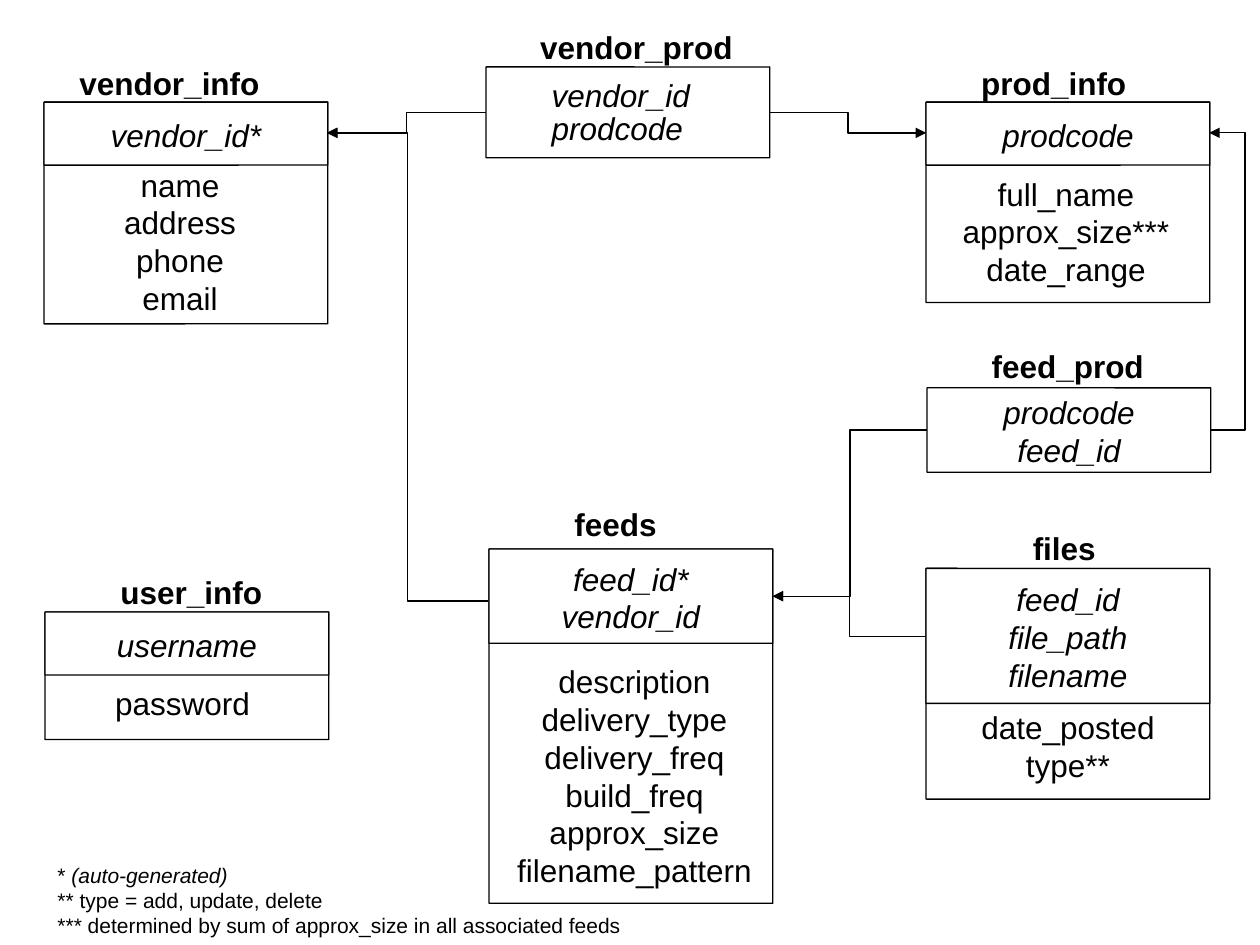
from lxml import etree
from pptx import Presentation, util as u
from pptx.dml.color import RGBColor
from pptx.enum import shapes, text
from pptx.oxml.ns import qn

THEME = {
    "font": "Arial", "ink": RGBColor(0, 0, 0), "paper": RGBColor(255, 255, 255),
    "body": 18, "note": 12, "line": 0.75, "corner": 0.001,
}
ENTITY_WIDTH, TITLE_WIDTH, NOTE_WIDTH = 5.72, 4.6, 12.2
CENTER, LEFT = text.PP_ALIGN.CENTER, text.PP_ALIGN.LEFT

# Entities in cm. title_at: left, top; box: left, top, height; fields_at: center, top.
ENTITIES = [
    {"title": "vendor_info", "title_at": (1.35, 1.12), "box": (0.89, 2.06, 4.47),
     "key_height": 1.27, "keys": ["vendor_id*"],
     "fields": ["name", "address", "phone", "email"], "fields_at": (3.63, 3.16)},
    {"title": "prod_info", "title_at": (19.53, 1.12), "box": (18.67, 2.06, 4.04),
     "key_height": 1.27, "keys": ["prodcode"],
     "fields": ["full_name", "approx_size***", "date_range"], "fields_at": (21.49, 3.34)},
    {"title": "vendor_prod", "title_at": (10.64, 0.38), "box": (9.8, 1.35, 1.83)},
    {"title": "user_info", "title_at": (2.18, 11.38), "box": (0.91, 12.34, 2.57),
     "key_height": 1.27, "keys": ["username"],
     "fields": ["password"], "fields_at": (3.68, 13.61)},
    {"title": "files", "title_at": (20.57, 10.49), "box": (18.67, 11.46, 4.65),
     "key_height": 2.72, "keys": ["feed_id", "file_path", "filename"],
     "fields": ["date_posted", "type**"], "fields_at": (21.53, 14.1)},
    {"title": "feeds", "title_at": (11.33, 10.01), "box": (9.86, 11.07, 7.14),
     "key_height": 1.9, "keys": ["feed_id*", "vendor_id"],
     "fields": ["description", "delivery_type", "delivery_freq", "build_freq",
                "approx_size", "filename_pattern"], "fields_at": (12.79, 13.17)},
    {"title": "feed_prod", "title_at": (19.74, 6.81), "box": (18.69, 7.82, 1.7),
     "keys": ["prodcode", "feed_id"]},
]

# The two keys of vendor_prod are set closer than normal lines
LINK_KEYS = [("vendor_id", (10.87, 1.35)), ("prodcode", (10.87, 2.02))]

FOOTNOTES = [
    [("* ", ""), ("(auto-generated)", "i")],
    [("** type = add, update, delete", "")],
    [("*** determined by sum of approx_size in all associated feeds", "")],
]
FOOTNOTES_AT = (0.91, 17.2)

# Relations: start, end, x of the bend (None for halfway)
RELATIONS = [
    ((9.8, 2.27), (6.6, 2.68), None),       # vendor_prod to vendor_info
    ((15.52, 2.27), (18.67, 2.68), None),   # vendor_prod to prod_info
    ((9.84, 12.12), (6.59, 2.68), None),    # feeds to vendor_info
    ((18.69, 8.67), (15.58, 12.02), None),  # feed_prod to feeds
    ((24.41, 8.67), (24.38, 2.68), 25.1),   # feed_prod to prod_info
    ((18.67, 12.83), (15.58, 12.02), None), # files to feeds
]


def lines_of(words, style=""):
    return [[(word, style)] for word in words]


def write(frame, lines, size, align):
    frame.margin_left = frame.margin_right = u.Cm(0.25)
    frame.margin_top, frame.margin_bottom = u.Cm(0.18), u.Cm(0.13)
    for number, line in enumerate(lines):
        paragraph = frame.paragraphs[0] if number == 0 else frame.add_paragraph()
        paragraph.alignment = align
        for words, style in line:
            run = paragraph.add_run()
            run.text = words
            run.font.name, run.font.size = THEME["font"], u.Pt(size)
            run.font.bold, run.font.italic = style == "b", style == "i"
            run.font.color.rgb = THEME["ink"]


def add_label(slide, at, width, lines, align=LEFT, size=THEME["body"]):
    left, top = at
    height = 0.31 + len(lines) * size * 0.042
    label = slide.shapes.add_textbox(*map(u.Cm, (left, top, width, height)))
    label.text_frame.word_wrap = True
    write(label.text_frame, lines, size, align)


def add_frame(slide, left, top, height, keys=()):
    frame = slide.shapes.add_shape(shapes.MSO_SHAPE.ROUNDED_RECTANGLE,
                                   *map(u.Cm, (left, top, ENTITY_WIDTH, height)))
    frame.adjustments[0] = THEME["corner"]
    frame.shadow.inherit = False
    frame.fill.solid()
    frame.fill.fore_color.rgb = THEME["paper"]
    frame.line.color.rgb, frame.line.width = THEME["ink"], u.Pt(THEME["line"])
    if keys:
        frame.text_frame.vertical_anchor = text.MSO_ANCHOR.MIDDLE
        frame.text_frame.word_wrap = True
        write(frame.text_frame, lines_of(keys, "i"), THEME["body"], CENTER)


def add_entity(slide, entity):
    left, top, height = entity["box"]
    keys = entity.get("keys", ())
    if "fields" in entity:
        center, fields_top = entity["fields_at"]
        add_frame(slide, left, top, height)
        add_frame(slide, left, top, entity["key_height"], keys)
        add_label(slide, (center - ENTITY_WIDTH / 2, fields_top), ENTITY_WIDTH,
                  lines_of(entity["fields"]), CENTER)
    else:
        add_frame(slide, left, top, height, keys)
    add_label(slide, entity["title_at"], TITLE_WIDTH, lines_of([entity["title"]], "b"))


def add_relation(slide, start, end, bend):
    relation = slide.shapes.add_connector(shapes.MSO_CONNECTOR.ELBOW,
                                          *map(u.Cm, start + end))
    relation.line.color.rgb, relation.line.width = THEME["ink"], u.Pt(THEME["line"])
    properties = relation._element.spPr
    etree.SubElement(properties.find(qn("a:ln")), qn("a:tailEnd"), type="triangle")
    etree.SubElement(properties, qn("a:effectLst"))
    if bend is not None:
        share = round((bend - start[0]) / (end[0] - start[0]) * 100000)
        guides = properties.find(qn("a:prstGeom")).get_or_add_avLst()
        etree.SubElement(guides, qn("a:gd"), name="adj1", fmla=f"val {share}")


def main():
    deck = Presentation()
    deck.slide_width, deck.slide_height = u.Cm(25.4), u.Cm(19.05)
    slide = deck.slides.add_slide(deck.slide_layouts[6])

    # Entities with their keys and fields
    for entity in ENTITIES:
        add_entity(slide, entity)
    for key, at in LINK_KEYS:
        add_label(slide, at, TITLE_WIDTH, lines_of([key], "i"))

    # Footnotes
    add_label(slide, FOOTNOTES_AT, NOTE_WIDTH, FOOTNOTES, size=THEME["note"])

    # Relations
    for start, end, bend in RELATIONS:
        add_relation(slide, start, end, bend)

    deck.save("out.pptx")


if __name__ == "__main__":
    main()
